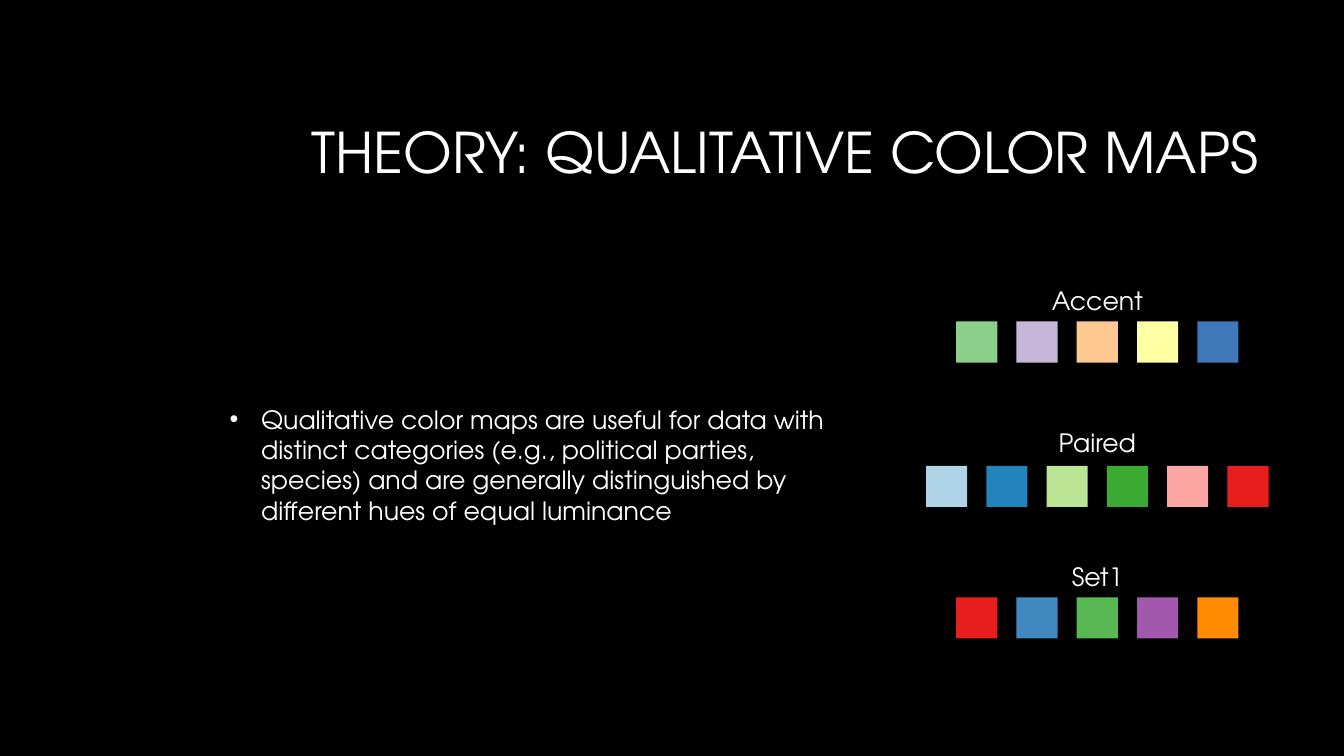
import pptx
import pptx.util
import pptx.dml.color
import pptx.enum.shapes
import pptx.enum.text
import pptx.oxml.ns
from lxml import etree

Pt = pptx.util.Pt
ALIGN = pptx.enum.text.PP_ALIGN
ANCHOR = pptx.enum.text.MSO_ANCHOR

INK = {"back": "000000", "text": "FFFFFF"}
FACE = "TeX Gyre Adventor"
SIDE, STEP = 29.4, 43.05  # swatch edge and distance between swatches

# Name, label top, swatch top, colours
MAPS = [
    ("Accent", 200.2, 229.6,
     {"green": "8AD08A", "lilac": "C6B7DA", "peach": "FEC891",
      "yellow": "FFFFA3", "blue": "4077B9"}),
    ("Paired", 301.7, 332.7,
     {"pale blue": "B0D4E7", "blue": "2283BD", "pale green": "BBE495",
      "green": "3AAA32", "pink": "FCA5A3", "red": "E71D1E"}),
    ("Set1", 397.4, 426.7,
     {"red": "E81D1E", "blue": "3F89C0", "green": "57B854",
      "purple": "A258AD", "orange": "FF8B00"}),
]


def tint(fill, code):
    fill.solid()
    fill.fore_color.rgb = pptx.dml.color.RGBColor.from_string(code)


def put(item, form):
    for key, value in form.items():
        setattr(item, key, value)


def add_text(slide, box, text, size, form, mark=None):
    frame = slide.shapes.add_textbox(*map(Pt, box)).text_frame
    frame.word_wrap = True
    para = frame.paragraphs[0]
    put(para, form)
    if mark:
        props = para._p.get_or_add_pPr()
        props.set("marL", str(Pt(22.5)))
        props.set("indent", str(Pt(-22.5)))
        qn = pptx.oxml.ns.qn
        etree.SubElement(props, qn("a:buFont")).set("typeface", "Arial")
        etree.SubElement(props, qn("a:buChar")).set("char", mark)
    run = para.add_run()
    run.text = text
    put(run.font, {"name": FACE, "size": Pt(size)})
    tint(run.font.fill, INK["text"])
    return frame


def add_title(slide, box):
    form = {"alignment": ALIGN.RIGHT, "line_spacing": 0.9}
    frame = add_text(slide, box, "THEORY: QUALITATIVE COLOR MAPS", 40, form)
    frame.vertical_anchor = ANCHOR.MIDDLE


def add_body(slide, box):
    text = ("Qualitative color maps are useful for data with distinct "
            "categories (e.g., political parties, species) and are generally "
            "distinguished by different hues of equal luminance")
    add_text(slide, box, text, 18, {"alignment": ALIGN.LEFT}, "•")


def add_map(slide, box, name, drop, hues):
    left, top, width, high = box
    add_text(slide, box, name, 18, {"alignment": ALIGN.CENTER})
    # Row of swatches, centred under the label
    span = (len(hues) - 1) * STEP + SIDE
    start = left + (width - span) / 2
    for i, code in enumerate(hues.values()):
        cell = slide.shapes.add_shape(
            pptx.enum.shapes.MSO_SHAPE.RECTANGLE,
            Pt(start + i * STEP), Pt(top + drop), Pt(SIDE), Pt(SIDE))
        cell.shadow.inherit = False
        tint(cell.fill, code)
        cell.line.fill.background()


def main():
    deck = pptx.Presentation()
    put(deck, {"slide_width": Pt(960), "slide_height": Pt(540)})
    slide = deck.slides.add_slide(deck.slide_layouts[6])
    tint(slide.background.fill, INK["back"])

    add_title(slide, (136.8, 60.5, 769, 101.5))
    add_body(slide, (157, 285.1, 447.8, 94.3))
    for name, top, row, hues in MAPS:
        add_map(slide, (683.3, top, 201, 28.8), name, row - top, hues)

    deck.save("out.pptx")


if __name__ == "__main__":
    main()
